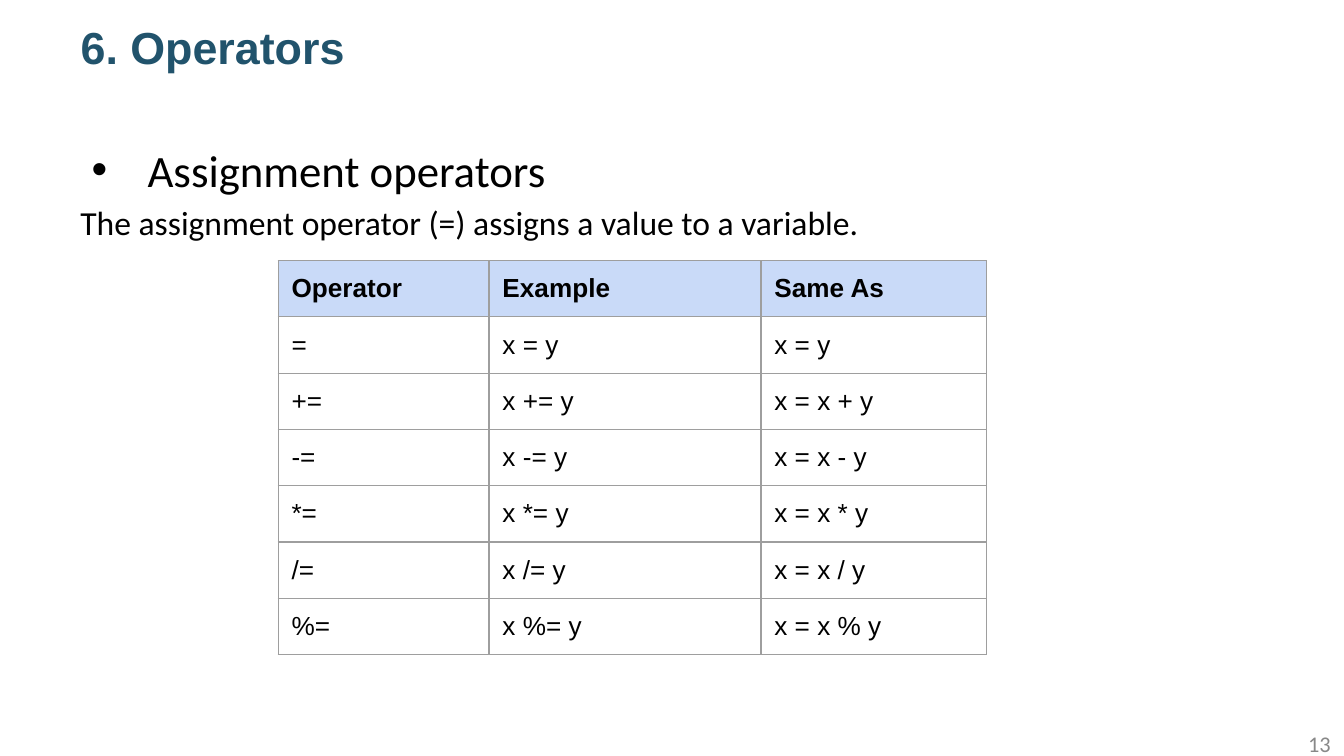
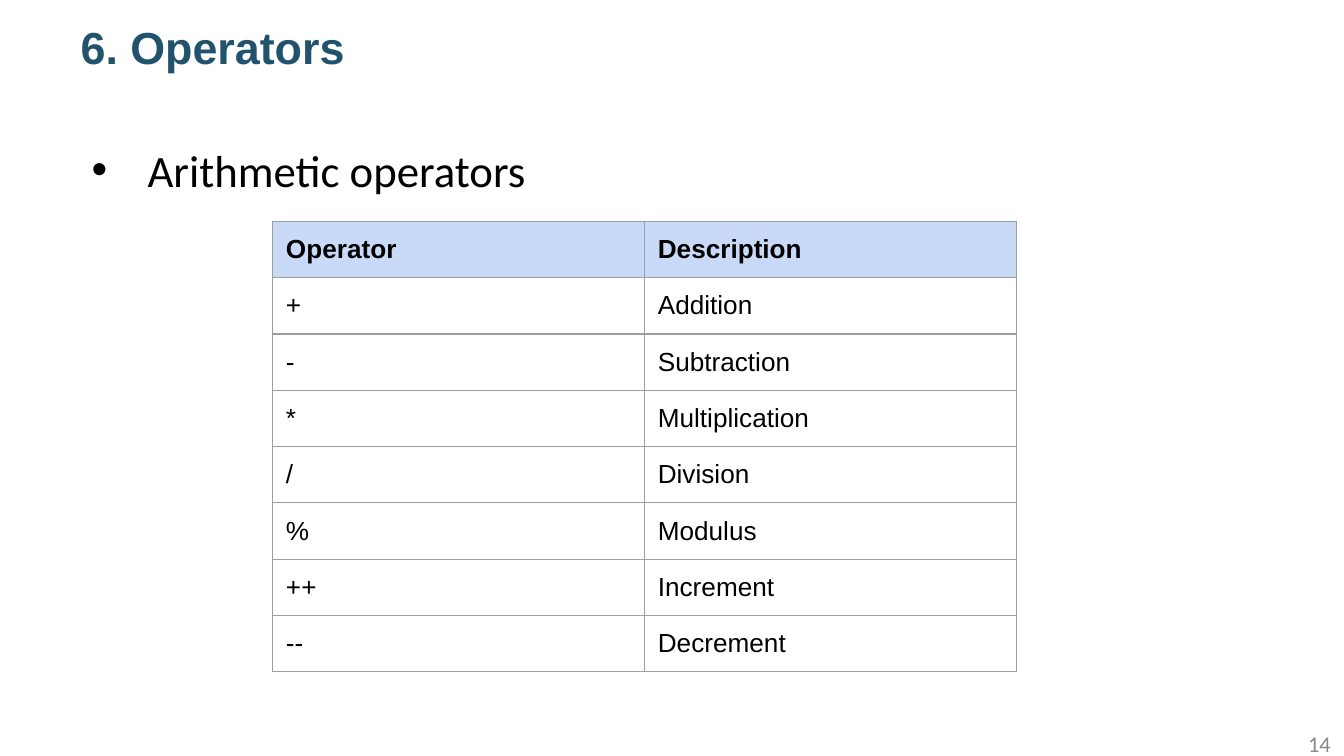
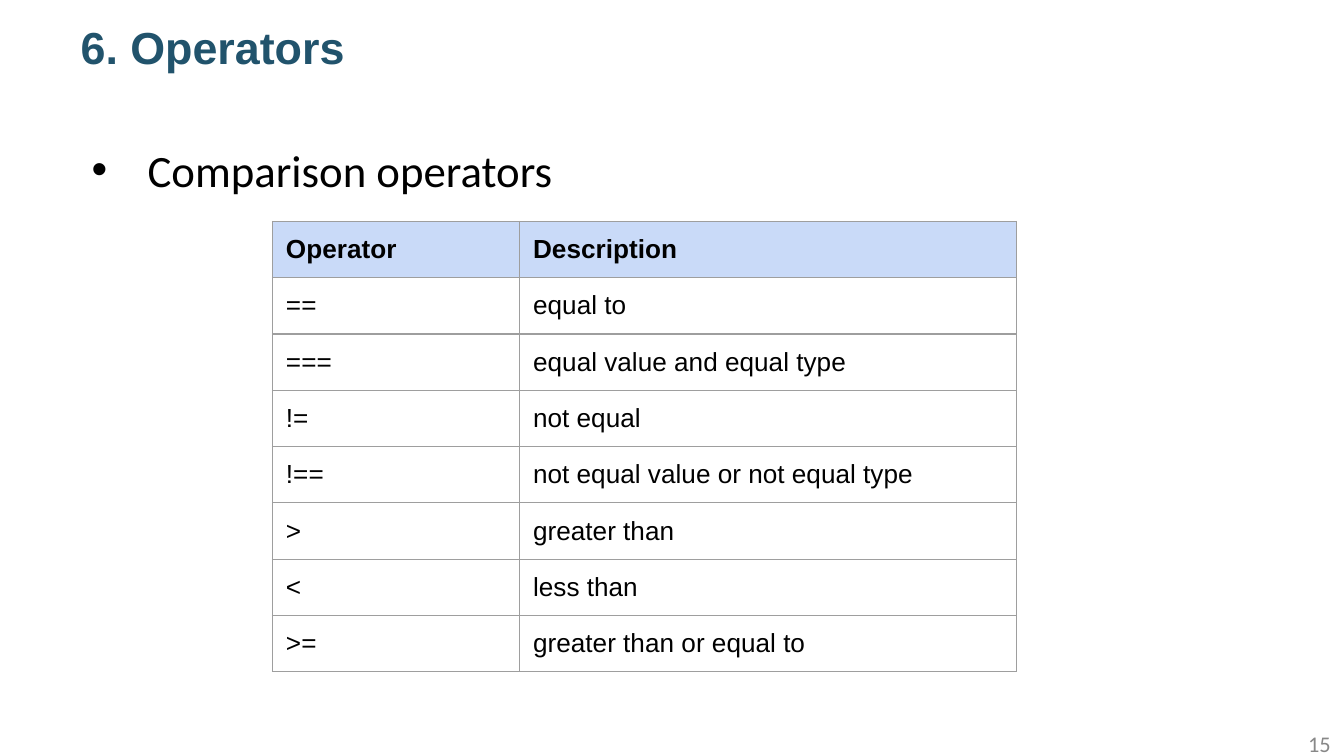
from dataclasses import dataclass

from lxml import etree
from pptx import Presentation
from pptx.dml.color import RGBColor
from pptx.enum.text import MSO_ANCHOR, MSO_AUTO_SIZE, PP_ALIGN
from pptx.oxml.ns import qn
from pptx.util import Pt

MIDDLE = MSO_ANCHOR.MIDDLE
TOP = MSO_ANCHOR.TOP
LEFT = PP_ALIGN.LEFT
RIGHT = PP_ALIGN.RIGHT
NO_AUTOFIT = MSO_AUTO_SIZE.NONE
TITLE_ONLY = 5


@dataclass(frozen=True)
class Theme:
    heading_font: str = "Arial"
    body_font: str = "Calibri"
    title_color: str = "21536C"
    text_color: str = "000000"
    number_color: str = "888888"
    header_fill: str = "C9DAF8"
    grid_color: str = "9E9E9E"
    title_size: float = 24
    topic_size: float = 24
    detail_size: float = 18
    cell_size: float = 14
    number_size: float = 12
    grid_width: float = 0.75
    row_height: float = 30
    cell_margin: float = 7.2


class Deck:
    def __init__(self, theme):
        self.theme = theme
        self.presentation = Presentation()
        self.presentation.slide_width = Pt(720)
        self.presentation.slide_height = Pt(405)
        self.slide = None

    def new_slide(self, title, number):
        theme = self.theme
        layout = self.presentation.slide_layouts[TITLE_ONLY]
        self.slide = self.presentation.slides.add_slide(layout)
        heading = self.slide.shapes.title
        heading.left, heading.top = Pt(36), Pt(0)
        heading.width, heading.height = Pt(528.5), Pt(50.4)
        self.frame(heading, MIDDLE)
        paragraph = heading.text_frame.paragraphs[0]
        paragraph.alignment = LEFT
        self.run(paragraph, title, theme.heading_font, theme.title_size, theme.title_color, True)

        footer = self.text_box(552, 387.5, 168, 21.6, MIDDLE).paragraphs[0]
        footer.alignment = RIGHT
        self.run(footer, str(number), theme.body_font, theme.number_size, theme.number_color)

    def frame(self, shape, anchor):
        text_frame = shape.text_frame
        text_frame.word_wrap = True
        text_frame.auto_size = NO_AUTOFIT
        text_frame.vertical_anchor = anchor
        return text_frame

    def text_box(self, left, top, width, height, anchor):
        box = self.slide.shapes.add_textbox(Pt(left), Pt(top), Pt(width), Pt(height))
        return self.frame(box, anchor)

    def run(self, paragraph, text, font, size, color, bold=False):
        run = paragraph.add_run()
        run.text = text
        run.font.name = font
        run.font.size = Pt(size)
        run.font.bold = bold
        run.font.color.rgb = RGBColor.from_string(color)

    def bullet(self, paragraph):
        properties = paragraph._p.get_or_add_pPr()
        properties.set("marL", str(Pt(36)))
        properties.set("indent", str(-Pt(30)))
        color = etree.SubElement(properties, qn("a:buClr"))
        etree.SubElement(color, qn("a:srgbClr"), val=self.theme.text_color)
        etree.SubElement(properties, qn("a:buFont"), typeface=self.theme.heading_font)
        etree.SubElement(properties, qn("a:buChar"), char="•")

    def body(self, topic, detail):
        theme = self.theme
        content = self.text_box(36, 72.7, 648, 289.4, TOP)
        topic_line = content.paragraphs[0]
        self.bullet(topic_line)
        self.run(topic_line, topic, theme.body_font, theme.topic_size, theme.text_color)
        if detail:
            detail_line = content.add_paragraph()
            detail_line.line_spacing = 1.15
            self.run(detail_line, detail, theme.body_font, theme.detail_size, theme.text_color)

    def borders(self, cell):
        properties = cell._tc.get_or_add_tcPr()
        for side in ("lnL", "lnR", "lnT", "lnB"):
            line = etree.SubElement(properties, qn(f"a:{side}"), w=str(Pt(self.theme.grid_width)))
            fill = etree.SubElement(line, qn("a:solidFill"))
            etree.SubElement(fill, qn("a:srgbClr"), val=self.theme.grid_color)

    def cell(self, cell, text, is_header):
        theme = self.theme
        margin = Pt(theme.cell_margin)
        cell.margin_left = cell.margin_right = margin
        cell.margin_top = cell.margin_bottom = margin
        self.borders(cell)
        if is_header:
            cell.fill.solid()
            cell.fill.fore_color.rgb = RGBColor.from_string(theme.header_fill)
        else:
            cell.fill.background()
        paragraph = cell.text_frame.paragraphs[0]
        self.run(paragraph, text, theme.heading_font, theme.cell_size, theme.text_color, is_header)

    def table(self, left, top, widths, rows):
        height = self.theme.row_height
        table = self.slide.shapes.add_table(
            len(rows), len(widths), Pt(left), Pt(top), Pt(sum(widths)), Pt(height * len(rows))
        ).table
        table.horz_banding = False
        for column, width in zip(table.columns, widths):
            column.width = Pt(width)
        for index, values in enumerate(rows):
            table.rows[index].height = Pt(height)
            for column, value in enumerate(values):
                self.cell(table.cell(index, column), value, index == 0)


ASSIGNMENT = [
    ("Operator", "Example", "Same As"),
    ("=", "x = y", "x = y"),
    *((f"{sign}=", f"x {sign}= y", f"x = x {sign} y") for sign in "+-*/%"),
]
ARITHMETIC = [
    ("Operator", "Description"),
    ("+", "Addition"),
    ("-", "Subtraction"),
    ("*", "Multiplication"),
    ("/", "Division"),
    ("%", "Modulus"),
    ("++", "Increment"),
    ("--", "Decrement"),
]
COMPARISON = [
    ("Operator", "Description"),
    ("==", "equal to"),
    ("===", "equal value and equal type"),
    ("!=", "not equal"),
    ("!==", "not equal value or not equal type"),
    (">", "greater than"),
    ("<", "less than"),
    (">=", "greater than or equal to"),
]
SECTIONS = [
    ("Assignment operators", "The assignment operator (=) assigns a value to a variable.",
     149, 139.6, (113, 145.7, 121), ASSIGNMENT),
    ("Arithmetic operators", None, 146, 118.6, (199.2, 199.2), ARITHMETIC),
    ("Comparison operators", None, 146, 118.6, (132.4, 266), COMPARISON),
]


def main():
    deck = Deck(Theme())
    for number, (topic, detail, left, top, widths, rows) in enumerate(SECTIONS, start=13):
        deck.new_slide("6. Operators", number)
        deck.body(topic, detail)
        deck.table(left, top, widths, rows)
    deck.presentation.save("out.pptx")


if __name__ == "__main__":
    main()
